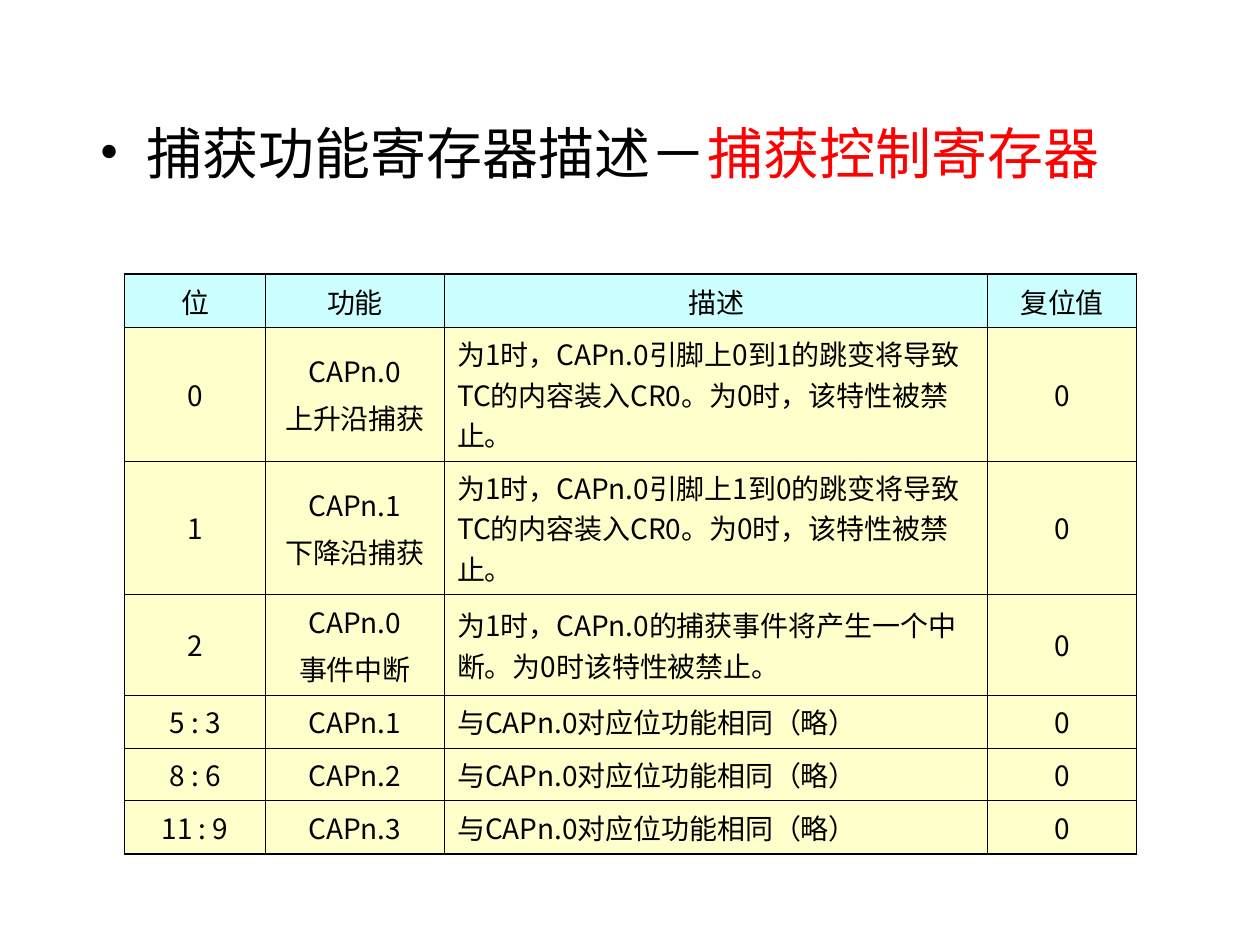
from dataclasses import dataclass

from lxml import etree
from pptx import Presentation
from pptx import util as u
from pptx.dml.color import RGBColor
from pptx.enum import text
from pptx.oxml.ns import qn

BLACK = RGBColor(0x00, 0x00, 0x00)
RED = RGBColor(0xFF, 0x00, 0x00)
CYAN = RGBColor(0xCC, 0xFF, 0xFF)
CREAM = RGBColor(0xFF, 0xFF, 0xCC)
SANS = "Noto Sans CJK SC"
SERIF = "Times New Roman"
THIN, THICK = 0.45, 1.08
WIDTHS = (2.84, 3.61, 10.95, 3.0)


@dataclass
class Row:
    bits: str
    role: str
    note: str
    reset: str = "0"
    high: float = 0.94
    fill: RGBColor = CREAM

    def cells(self) -> tuple[str, ...]:
        return self.bits, self.role, self.note, self.reset


def edge_note(jump: str) -> str:
    return f"为1时，CAPn.0引脚上{jump}的跳变将导致TC的内容装入CR0。为0时，该特性被禁止。"


SAME = "与CAPn.0对应位功能相同（略）"
ROWS = [
    Row("位", "功能", "描述", "复位值", fill=CYAN),
    Row("0", "CAPn.0\n上升沿捕获", edge_note("0到1"), high=2.29),
    Row("1", "CAPn.1\n下降沿捕获", edge_note("1到0"), high=2.29),
    Row("2", "CAPn.0\n事件中断", "为1时，CAPn.0的捕获事件将产生一个中断。为0时该特性被禁止。", high=1.75),
    Row("5 : 3", "CAPn.1", SAME),
    Row("8 : 6", "CAPn.2", SAME),
    Row("11 : 9", "CAPn.3", SAME),
]


def add_run(para, words: str, size: float, face: str, color: RGBColor) -> None:
    run = para.add_run()
    run.text = words
    run.font.size = u.Pt(size)
    run.font.name = face
    run.font.color.rgb = color
    etree.SubElement(run.font._element, qn("a:ea"), typeface=SANS)


def add_edge(cell, side: str, width: float) -> None:
    line = etree.SubElement(cell._tc.get_or_add_tcPr(), qn(f"a:{side}"), w=str(u.Pt(width)))
    fill = etree.SubElement(line, qn("a:solidFill"))
    etree.SubElement(fill, qn("a:srgbClr"), val=str(BLACK))


def fill_cell(cell, words: str, fill: RGBColor, align, edges: dict[str, bool]) -> None:
    for side, outer in edges.items():
        add_edge(cell, side, THICK if outer else THIN)
    cell.fill.solid()
    cell.fill.fore_color.rgb = fill
    cell.vertical_anchor = text.MSO_ANCHOR.MIDDLE
    frame = cell.text_frame
    for i, part in enumerate(words.split("\n")):
        para = frame.add_paragraph() if i else frame.paragraphs[0]
        para.alignment = align
        if i:
            para.space_before = u.Pt(4)
        add_run(para, part, 16, SANS, BLACK)


def add_grid(slide) -> None:
    frame = slide.shapes.add_table(
        len(ROWS), len(WIDTHS), u.Cm(2.51), u.Cm(5.53),
        u.Cm(sum(WIDTHS)), u.Cm(sum(row.high for row in ROWS)))
    grid = frame.table
    grid.first_row = grid.horz_banding = False
    for col, width in zip(grid.columns, WIDTHS):
        col.width = u.Cm(width)
    for r, row in enumerate(ROWS):
        grid.rows[r].height = u.Cm(row.high)
        for c, words in enumerate(row.cells()):
            edges = {"lnL": c == 0, "lnR": c == len(WIDTHS) - 1,
                     "lnT": r == 0, "lnB": r == len(ROWS) - 1}
            left = r > 0 and c == 2
            align = text.PP_ALIGN.LEFT if left else text.PP_ALIGN.CENTER
            fill_cell(grid.cell(r, c), words, row.fill, align, edges)


def set_title(slide) -> None:
    title = slide.shapes.title
    title.left, title.top = u.Cm(1.75), u.Cm(2.26)
    title.width, title.height = u.Cm(20.96), u.Cm(1.7)
    frame = title.text_frame
    frame.word_wrap = True
    frame.auto_size = text.MSO_AUTO_SIZE.NONE
    frame.vertical_anchor = text.MSO_ANCHOR.TOP
    para = frame.paragraphs[0]
    para.alignment = text.PP_ALIGN.LEFT
    props = para._p.get_or_add_pPr()
    props.set("marL", str(u.Cm(0.95)))
    props.set("indent", str(u.Cm(-0.95)))
    tint = etree.SubElement(props, qn("a:buClr"))
    etree.SubElement(tint, qn("a:srgbClr"), val=str(BLACK))
    etree.SubElement(props, qn("a:buFont"), typeface=SERIF)
    etree.SubElement(props, qn("a:buChar"), char="•")
    add_run(para, "捕获功能寄存器描述－", 32, SERIF, BLACK)
    add_run(para, "捕获控制寄存器", 32, SERIF, RED)


def main() -> None:
    deck = Presentation()
    deck.slide_width, deck.slide_height = u.Cm(25.4), u.Cm(19.05)
    slide = deck.slides.add_slide(deck.slide_layouts[5])
    add_grid(slide)
    set_title(slide)
    deck.save("out.pptx")


if __name__ == "__main__":
    main()
